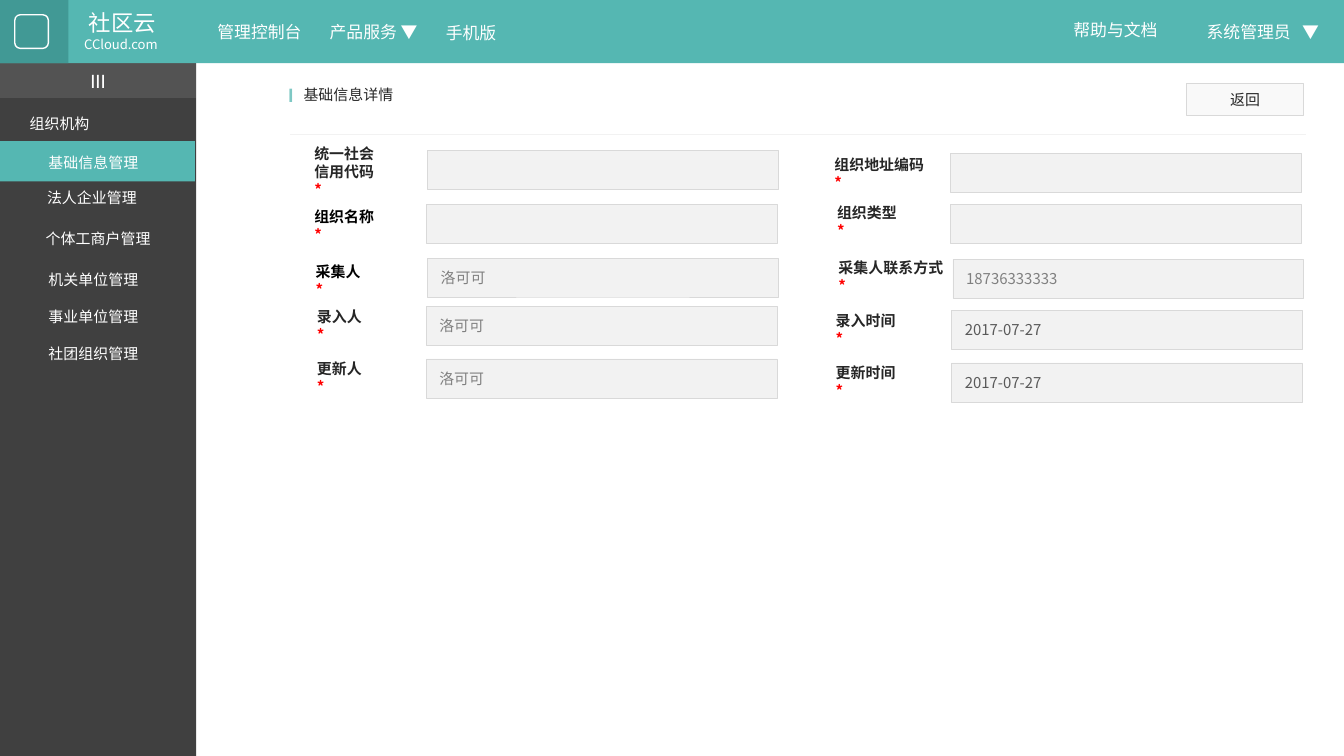
"""Build the basic information page of a community admin console."""
from lxml.etree import SubElement
from pptx import Presentation
from pptx.dml.color import RGBColor
from pptx.enum.shapes import MSO_CONNECTOR, MSO_SHAPE
from pptx.enum.text import MSO_ANCHOR, PP_ALIGN
from pptx.oxml.ns import qn
from pptx.util import Inches, Pt

THEME = {
    "white": "FFFFFF", "teal": "55B7B2", "deep": "419995", "mint": "7EC8C4",
    "side": "404040", "ink": "262626", "black": "000000", "star": "FF0000",
    "gray": "808080", "slate": "595959", "field": "F2F2F2", "edge": "D9D9D9",
    "button": "F9F9F9", "cjk": "Noto Sans CJK SC", "latin": "Calibri",
    "body": 8, "nav": 9, "brand": 12, "site": 7, "mark": 11,
    "hair": 0.25, "frame": 0.75, "lead": 1.2,
}
PAD = (0.1, 0.05)
TIGHT = (0.07, 0.04)

NAV = [
    ("管理控制台", "nav", (1.42, 0.11, 1.02, 0.25)),
    ("帮助与文档", "nav", (7.83, 0.1, 0.94, 0.25)),
    ("手机版", "nav", (3.11, 0.12, 0.79, 0.25)),
    ("社区云", "brand", (0.44, 0.02, 0.94, 0.3)),
    ("CCloud.com", "site", (0.42, 0.22, 0.96, 0.22)),
]
MENU = [
    ("组织机构", 0.15, 0.81), ("基础信息管理", 0.29, 1.1),
    ("法人企业管理", 0.28, 1.36), ("个体工商户管理", 0.27, 1.67),
    ("机关单位管理", 0.29, 1.97), ("事业单位管理", 0.29, 2.25),
    ("社团组织管理", 0.29, 2.52),
]
FORM = [
    (["统一社会", "信用代码 "], "ink", (2.24, 1.09), "", "gray", (3.18, 1.12)),
    (["组织名称"], "black", (2.24, 1.56), "", "gray", (3.17, 1.52)),
    (["采集人"], "black", (2.25, 1.97), "洛可可", "gray", (3.18, 1.92)),
    (["录入人"], "ink", (2.26, 2.3), "洛可可", "gray", (3.17, 2.28)),
    (["更新人"], "ink", (2.26, 2.69), "洛可可", "gray", (3.17, 2.67)),
    (["组织地址编码"], "ink", (6.11, 1.17), "", "gray", (7.07, 1.14)),
    (["组织类型"], "ink", (6.13, 1.53), "", "gray", (7.07, 1.52)),
    (["采集人联系方式"], "ink", (6.14, 1.94), "18736333333", "gray", (7.09, 1.93)),
    (["录入时间"], "ink", (6.12, 2.33), "2017-07-27", "slate", (7.08, 2.31)),
    (["更新时间"], "ink", (6.12, 2.72), "2017-07-27", "slate", (7.08, 2.7)),
]


def tone(name):
    return RGBColor.from_string(THEME[name])


def place(box):
    return [Inches(n) for n in box]


def add_run(para, words, color, size="body", font="cjk", bold=False):
    run = para.add_run()
    run.text = words
    run.font.name = THEME[font]
    run.font.size = Pt(THEME[size])
    run.font.bold = bold
    run.font.color.rgb = tone(color)
    if font == "cjk":
        SubElement(run.font._element, qn("a:ea"), typeface=THEME[font])
    para.line_spacing = Pt(THEME[size] * THEME["lead"])


def set_frame(shape, align=PP_ALIGN.LEFT, pad=PAD, mid=False):
    frame = shape.text_frame
    frame.word_wrap = True
    frame.vertical_anchor = MSO_ANCHOR.MIDDLE if mid else MSO_ANCHOR.TOP
    frame.margin_left = frame.margin_right = Inches(pad[0])
    frame.margin_top = frame.margin_bottom = Inches(pad[1])
    frame.paragraphs[0].alignment = align
    return frame


def add_text(host, box, words, color, size="body", font="cjk", bold=False, **kind):
    frame = set_frame(host.add_textbox(*place(box)), **kind)
    add_run(frame.paragraphs[0], words, color, size, font, bold)
    return frame


def add_box(host, box, fill=None, line=None, width="hair", form=MSO_SHAPE.RECTANGLE):
    shape = host.add_shape(form, *place(box))
    shape.shadow.inherit = False
    if fill:
        shape.fill.solid()
        shape.fill.fore_color.rgb = tone(fill)
    else:
        shape.fill.background()
    if line:
        shape.line.color.rgb = tone(line)
        shape.line.width = Pt(THEME[width])
    else:
        shape.line.fill.background()
    return shape


def draw_side(host):
    add_box(host, (0, 0.46, 1.46, 5.17), "side")
    bar = add_box(host, (0, 0.47, 1.46, 0.26), "white")
    paint = bar._element.spPr.find(".//" + qn("a:srgbClr"))
    SubElement(paint, qn("a:alpha"), val="10000")
    frame = set_frame(bar, PP_ALIGN.CENTER, mid=True)
    add_run(frame.paragraphs[0], "III", "white", "mark", "latin")


def draw_menu(host):
    add_box(host, (0, 1.05, 1.45, 0.3), "teal")
    for words, left, top in MENU:
        add_text(host, (left, top, 1.02, 0.21), words, "white", pad=TIGHT)


def draw_user(host):
    frame = set_frame(host.add_textbox(*place((8.88, 0.11, 1.1, 0.25))))
    para = frame.paragraphs[0]
    tabs = SubElement(para._p.get_or_add_pPr(), qn("a:tabLst"))
    SubElement(tabs, qn("a:tab"), pos=str(Inches(0.71)), algn="l")
    add_run(para, "系统管理员\t▼", "white", "nav")


def draw_head(host):
    add_box(host, (0, 0, 10, 0.47), "teal")
    add_box(host, (8.78, -0.01, 1.22, 0.47), "teal")
    add_box(host, (0, 0, 0.51, 0.47), "deep")
    add_box(host, (0.11, 0.11, 0.25, 0.25), None, "white", "frame",
            MSO_SHAPE.ROUNDED_RECTANGLE)
    for words, size, box in NAV:
        add_text(host, box, words, "white", size, align=PP_ALIGN.CENTER)
    frame = add_text(host, (2.31, 0.11, 0.94, 0.25), "产品服务 ", "white", "nav",
                     align=PP_ALIGN.CENTER)
    add_run(frame.paragraphs[0], "▼", "white", "nav", bold=True)
    draw_user(host)


def draw_title(host):
    add_text(host, (2.16, 0.59, 1.89, 0.24), "基础信息详情", "ink")
    add_text(host, (2.01, 0.57, 0.31, 0.27), "I", "mint", "mark", "latin", True,
             align=PP_ALIGN.CENTER, mid=True)
    rule = host.add_connector(MSO_CONNECTOR.STRAIGHT, *place((2.16, 1, 9.72, 1)))
    rule.line.color.rgb = tone("field")
    rule.line.width = Pt(THEME["hair"])
    SubElement(rule._element.spPr, qn("a:effectLst"))
    back = add_box(host, (8.83, 0.62, 0.87, 0.24), "button", "edge")
    frame = set_frame(back, PP_ALIGN.CENTER, mid=True)
    add_run(frame.paragraphs[0], "返回", "ink")


def draw_form(host):
    for lines, color, spot, value, shade, start in FORM:
        field = add_box(host, (*start, 2.61, 0.29), "field", "edge")
        if value:
            frame = set_frame(field, mid=True)
            add_run(frame.paragraphs[0], value, shade)
        wide = len(lines[0]) * THEME["body"] / 72 + 0.22
        high = 0.24 if len(lines) == 1 else 0.37
        frame = add_text(host, (*spot, wide, high), lines[0], color, bold=True, mid=True)
        for words in lines[1:]:
            add_run(frame.add_paragraph(), words, color, bold=True)
        add_run(frame.paragraphs[-1], "*", "star", bold=True)


def main():
    deck = Presentation()
    deck.slide_width = Inches(10)
    deck.slide_height = deck.slide_width * 9 // 16
    slide = deck.slides.add_slide(deck.slide_layouts[6])
    draw_side(slide.shapes)
    draw_head(slide.shapes.add_group_shape().shapes)
    draw_title(slide.shapes)
    draw_form(slide.shapes)
    draw_menu(slide.shapes)
    deck.save("out.pptx")


if __name__ == "__main__":
    main()
